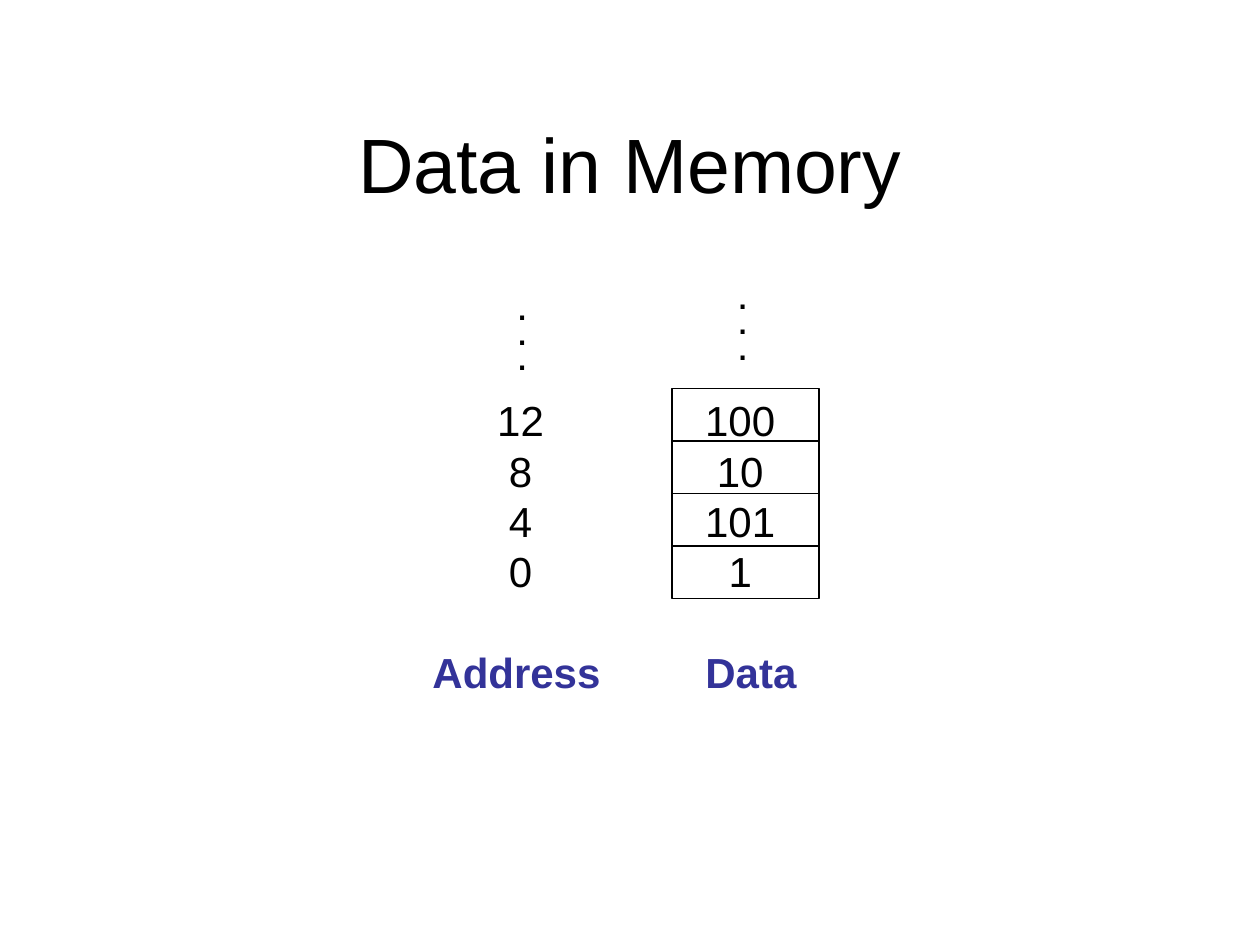
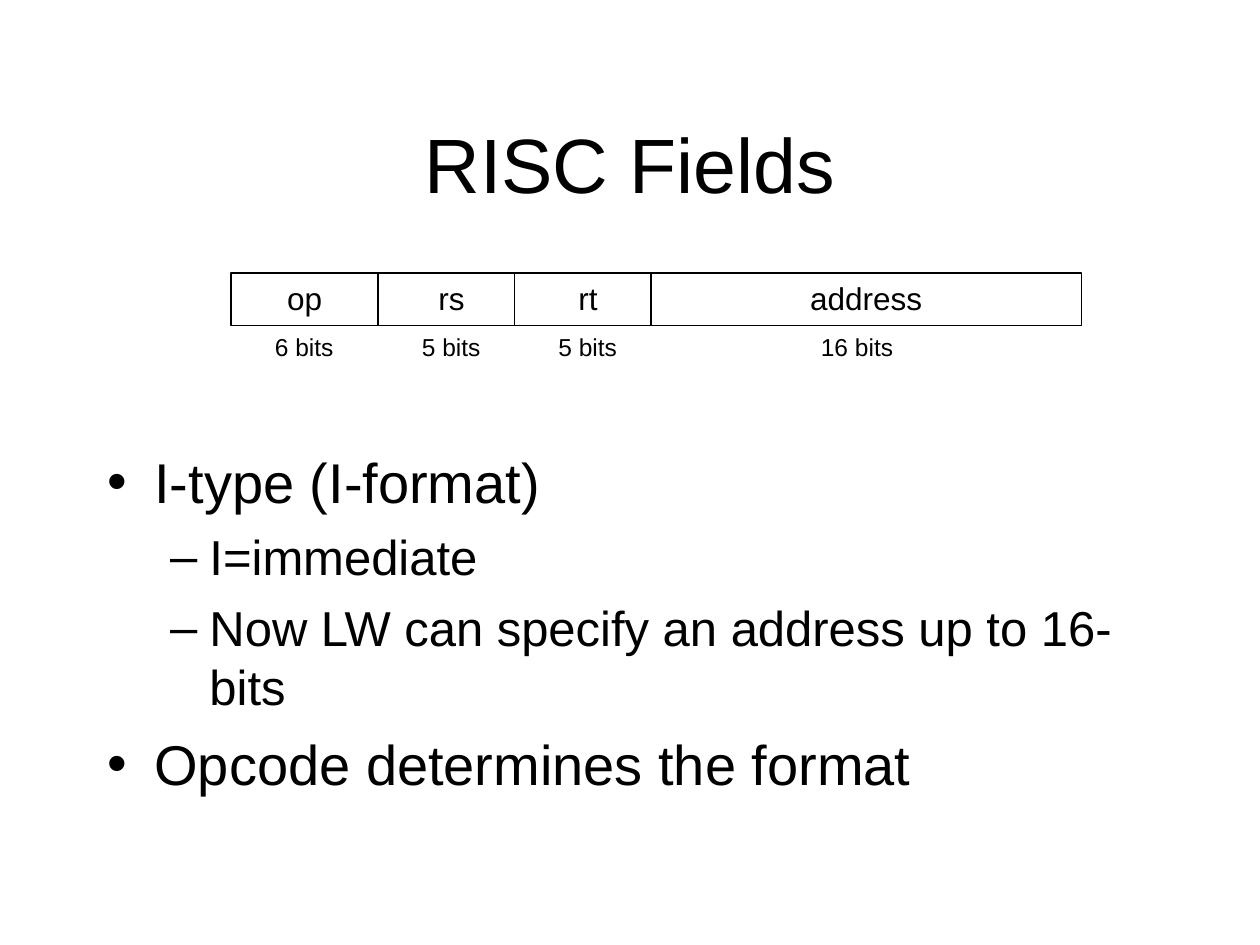
from collections import namedtuple

from lxml import etree
from pptx import Presentation
from pptx.dml.color import RGBColor
from pptx.enum.shapes import MSO_CONNECTOR, MSO_SHAPE
from pptx.enum.text import MSO_ANCHOR, MSO_AUTO_SIZE, PP_ALIGN
from pptx.oxml.ns import qn
from pptx.util import Pt

LEFT, CENTER = PP_ALIGN.LEFT, PP_ALIGN.CENTER
MIDDLE, TOP = MSO_ANCHOR.MIDDLE, MSO_ANCHOR.TOP
NO_FIT, GROW = MSO_AUTO_SIZE.NONE, MSO_AUTO_SIZE.SHAPE_TO_FIT_TEXT
RECTANGLE, STRAIGHT = MSO_SHAPE.RECTANGLE, MSO_CONNECTOR.STRAIGHT
LEFT_SITE, RIGHT_SITE = 1, 3

# Shared style, all lengths in points
FONT = "Arial"
INK, ACCENT = "000000", "333399"
LINE_WIDTH = 0.75
CONTENT_LAYOUT, TITLE_ONLY_LAYOUT = 1, 5

Box = namedtuple("Box", "left top width height")
TITLE_BOX = Box(54, 48, 612, 90)


def color(hex_value):
    return RGBColor.from_string(hex_value)


def lengths(box):
    return [Pt(value) for value in box]


def place(shape, box):
    shape.left, shape.top, shape.width, shape.height = lengths(box)


def add_run(paragraph, text, size, ink=INK, bold=False):
    run = paragraph.add_run()
    run.text = text
    font = run.font
    font.name, font.size, font.bold = FONT, Pt(size), bold
    font.color.rgb = color(ink)


def next_paragraph(frame, index):
    return frame.add_paragraph() if index else frame.paragraphs[0]


def add_label(shapes, box, lines, size, align=LEFT, wrap=False, before=0,
              spacing=None, ink=INK, bold=False):
    label = shapes.add_textbox(*lengths(box))
    frame = label.text_frame
    frame.word_wrap, frame.auto_size = wrap, GROW
    for index, text in enumerate(lines):
        paragraph = next_paragraph(frame, index)
        paragraph.alignment = align
        paragraph.space_before = Pt(before)
        paragraph.line_spacing = spacing
        add_run(paragraph, text, size, ink, bold)


def add_frame(shapes, box):
    frame = shapes.add_shape(RECTANGLE, *lengths(box))
    frame.shadow.inherit = False
    frame.fill.background()
    frame.line.color.rgb = color(INK)
    frame.line.width = Pt(LINE_WIDTH)
    return frame


def add_divider(shapes, x1, y1, x2, y2):
    divider = shapes.add_connector(STRAIGHT, *lengths((x1, y1, x2, y2)))
    divider.line.color.rgb = color(INK)
    divider.line.width = Pt(LINE_WIDTH)
    etree.SubElement(divider._element.spPr, qn("a:effectLst"))
    return divider


def add_titled_slide(deck, layout, text):
    slide = deck.slides.add_slide(deck.slide_layouts[layout])
    title = slide.shapes.title
    place(title, TITLE_BOX)
    frame = title.text_frame
    frame.vertical_anchor, frame.auto_size = MIDDLE, NO_FIT
    frame.paragraphs[0].alignment = CENTER
    add_run(frame.paragraphs[0], text, 44)
    return slide


def add_memory_cells(shapes, box, rows):
    """Frame with one cell per row, lines between the cells."""
    frame = add_frame(shapes, box)
    row_height = box.height / rows
    for row in range(1, rows):
        y = box.top + row * row_height
        divider = add_divider(shapes, box.left, y, box.left + box.width, y)
        if 2 * row == rows:
            divider.begin_connect(frame, LEFT_SITE)
            divider.end_connect(frame, RIGHT_SITE)


def add_memory_column(shapes, values_box, values, dots_at, heading, heading_box):
    """Dots above, values in the middle, heading below."""
    add_label(shapes, Box(*dots_at, 24, 50.4), ["..."], 24, wrap=True,
              before=15, spacing=0.5)
    add_label(shapes, values_box, values, 24, align=CENTER)
    add_label(shapes, heading_box, [heading], 24, ink=ACCENT, bold=True)


def add_field_diagram(slide, box, fields):
    """Instruction word: (name, bits, width, bits offset, bits width)."""
    shapes = slide.shapes.add_group_shape().shapes
    add_frame(shapes, box)
    bottom = box.top + box.height
    x = box.left
    for name, bits, width, bits_offset, bits_width in fields:
        if x > box.left:
            add_divider(shapes, x, box.top, x, bottom)
        name_box = Box(x, box.top, max(width, 84), 29)
        add_label(shapes, name_box, [name], 18, align=CENTER, wrap=True, before=11.2)
        add_label(shapes, Box(x + bits_offset, bottom, bits_width, 24.5), [bits], 14)
        x += width


def fill_bullets(body, box, bullets):
    place(body, box)
    frame = body.text_frame
    frame.vertical_anchor, frame.auto_size = TOP, NO_FIT
    for index, (level, text) in enumerate(bullets):
        paragraph = next_paragraph(frame, index)
        paragraph.level = level
        paragraph.space_before = Pt(8 - level)
        add_run(paragraph, text, 32 - 4 * level)


def build_memory_slide(deck):
    shapes = add_titled_slide(deck, TITLE_ONLY_LAYOUT, "Data in Memory").shapes
    cells = Box(384, 222, 84, 120)
    add_memory_cells(shapes, cells, 4)
    add_memory_column(shapes, Box(394, cells.top, 58, 122.4),
                      ["100", "10", "101", "1"], (414, 162),
                      "Data", Box(396, 366, 68, 36))
    add_memory_column(shapes, Box(275.5, cells.top, 44, 122.4),
                      ["12", "8", "4", "0"], (288, 168),
                      "Address", Box(240, 366, 112, 36))


def build_fields_slide(deck):
    slide = add_titled_slide(deck, CONTENT_LAYOUT, "RISC Fields")
    fill_bullets(slide.placeholders[1], Box(54, 252, 612, 216), [
        (0, "I-type (I-format)"),
        (1, "I=immediate"),
        (1, "Now LW can specify an address up to 16-bits"),
        (0, "Opcode determines the format"),
    ])
    add_field_diagram(slide, Box(132, 156, 486, 30), [
        ("op", "6 bits", 84, 18, 50),
        ("rs", "5 bits", 78, 18, 50),
        ("rt", "5 bits", 78, 18, 50),
        ("address", "16 bits", 246, 90, 58),
    ])


def main():
    deck = Presentation()
    deck.slide_width, deck.slide_height = Pt(720), Pt(540)
    build_memory_slide(deck)
    build_fields_slide(deck)
    deck.save("out.pptx")


if __name__ == "__main__":
    main()
